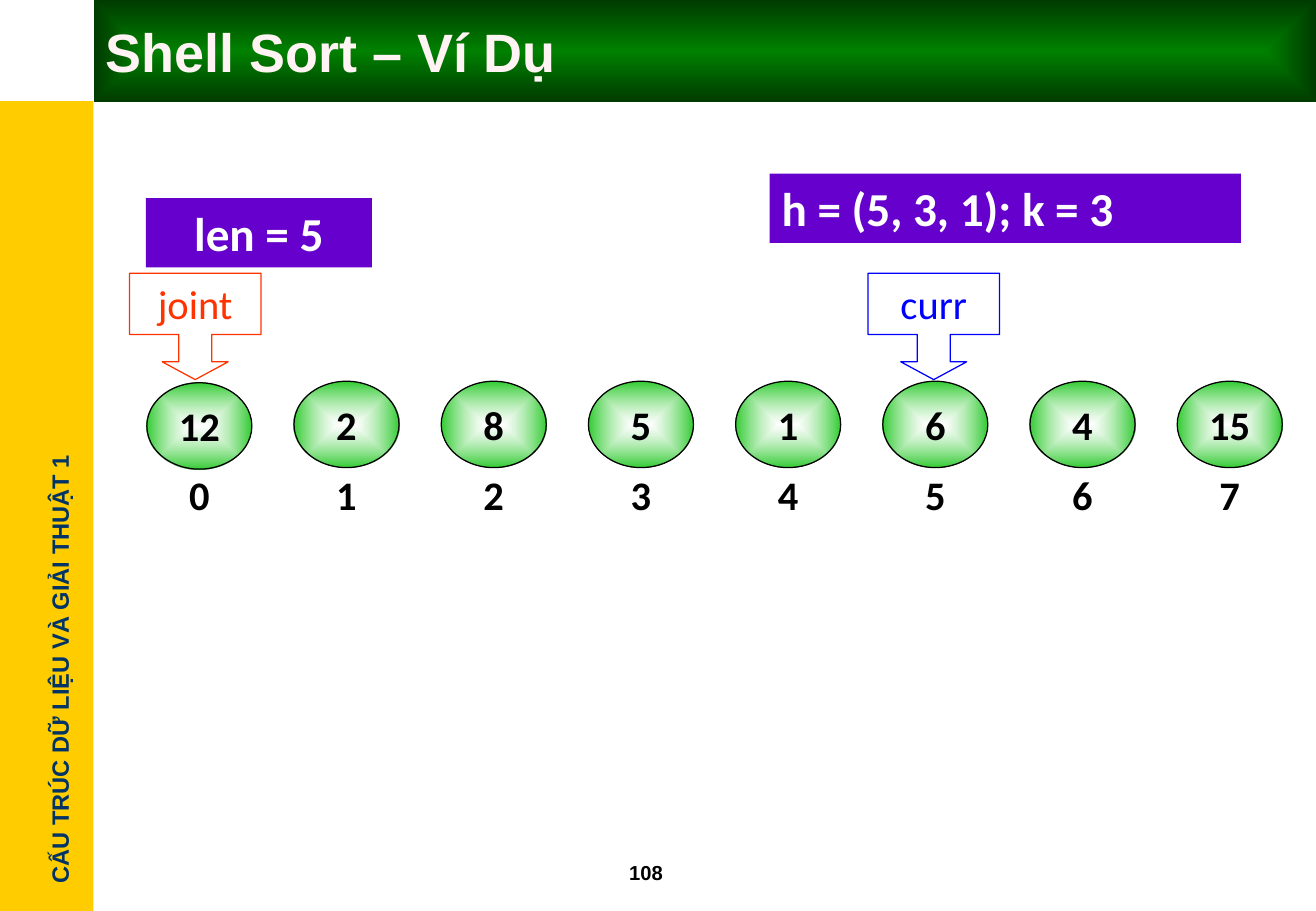
from lxml import etree
from pptx import Presentation
from pptx.dml.color import RGBColor
from pptx.enum import shapes, text
from pptx.oxml import ns
from pptx.util import Pt

KIND = shapes.MSO_SHAPE
LEFT, CENTER = text.PP_ALIGN.LEFT, text.PP_ALIGN.CENTER
TOP, MIDDLE = text.MSO_ANCHOR.TOP, text.MSO_ANCHOR.MIDDLE
VALUES = [12, 2, 8, 5, 1, 6, 4, 15]


def rgb(value):
    return RGBColor.from_string(value)


def place(shape, box):
    shape.left, shape.top, shape.width, shape.height = map(Pt, box)


def write(shape, words, size, color, font="Calibri", bold=True,
          align=CENTER, anchor=TOP, wrap=True):
    frame = shape.text_frame
    frame.text = words
    frame.word_wrap = wrap
    frame.vertical_anchor = anchor
    frame.auto_size = text.MSO_AUTO_SIZE.NONE
    paragraph = frame.paragraphs[0]
    paragraph.alignment = align
    paragraph.space_before = Pt(0)
    paragraph.font.name = font
    paragraph.font.size = Pt(size)
    paragraph.font.bold = bold
    paragraph.font.color.rgb = rgb(color)


def add_outline(slide, kind, box, fill=None, line=None):
    shape = slide.shapes.add_shape(kind, *map(Pt, box))
    shape.shadow.inherit = False
    if fill:
        shape.fill.solid()
        shape.fill.fore_color.rgb = rgb(fill)
    else:
        shape.fill.background()
    if line:
        shape.line.color.rgb = rgb(line)
        shape.line.width = Pt(0.75)
    else:
        shape.line.fill.background()
    return shape


def fill_from_center(shape, inner, outer, inner_alpha=100):
    shape.fill.gradient()
    gradient = shape.fill._xPr.find(ns.qn("a:gradFill"))
    for child in list(gradient):
        gradient.remove(child)
    stops = etree.SubElement(gradient, ns.qn("a:gsLst"))
    for position, color, alpha in ((0, inner, inner_alpha), (100, outer, 100)):
        stop = etree.SubElement(stops, ns.qn("a:gs"), pos=str(position * 1000))
        tint = etree.SubElement(stop, ns.qn("a:srgbClr"), val=color)
        if alpha < 100:
            etree.SubElement(tint, ns.qn("a:alpha"), val=str(alpha * 1000))
    spread = etree.SubElement(gradient, ns.qn("a:path"), path="rect")
    etree.SubElement(spread, ns.qn("a:fillToRect"),
                     {side: "50000" for side in "ltrb"})


def add_sidebar(slide, box):
    left, top, width, height = box
    add_outline(slide, KIND.RECTANGLE, box, fill="FFCC00")
    length, thickness = 268.5, 24.5
    center_x, center_y = left + 35.6, top + height - 143.3
    course = slide.shapes.add_textbox(
        Pt(center_x - length / 2), Pt(center_y - thickness / 2),
        Pt(length), Pt(thickness))
    course.rotation = 270
    write(course, "CẤU TRÚC DỮ LIỆU VÀ GIẢI THUẬT 1", 14, "003366",
          font="Arial", align=LEFT, wrap=False)


def add_title(slide, box):
    title = slide.shapes.title
    place(title, box)
    fill_from_center(title, "008000", "003B00")
    write(title, "Shell Sort – Ví Dụ", 32, "FFF3F3", font="Arial",
          align=LEFT, anchor=MIDDLE)


def add_page_number(slide, box):
    number = slide.shapes.add_textbox(*map(Pt, box))
    write(number, "108", 12, "000000", font="Arial", align=LEFT)


def add_banner(slide, box, words, align):
    banner = add_outline(slide, KIND.RECTANGLE, box, fill="6600CC")
    write(banner, words, 28, "FFFFFF", align=align)


def add_array(slide, box):
    left, top, width, height = box
    cell_width, cell_height = 62.3, 51.2
    step = (width - cell_width) / (len(VALUES) - 1)
    for index, value in enumerate(VALUES):
        x = left + index * step
        y = top if index else top + 0.9
        node = add_outline(slide, KIND.OVAL, (x, y, cell_width, cell_height),
                           line="000000")
        fill_from_center(node, "FFFFFF", "33CC33", inner_alpha=60)
        write(node, str(value), 24, "000000")
        position = add_outline(
            slide, KIND.OVAL,
            (x, top + height - cell_height, cell_width, cell_height))
        write(position, str(index), 24, "000000")


def add_pointer(slide, box, words, color):
    pointer = add_outline(slide, KIND.DOWN_ARROW_CALLOUT, box, line=color)
    for index, share in enumerate((0.31, 0.31, 0.167, 0.575)):
        pointer.adjustments[index] = share
    write(pointer, words, 24, color, bold=False)


def main():
    deck = Presentation()
    deck.slide_width, deck.slide_height = Pt(780.48), Pt(540)
    slide = deck.slides.add_slide(deck.slide_layouts[5])
    add_sidebar(slide, (0, 60, 55.5, 480))
    add_title(slide, (55.5, 0, 724.98, 60.4))
    add_page_number(slide, (366, 506.2, 60, 21.8))
    add_array(slide, (87.1, 226, 673.4, 93))
    add_banner(slide, (456.5, 103, 279.5, 41), "h = (5, 3, 1); k = 3", LEFT)
    add_banner(slide, (86.5, 117.5, 134, 41), "len = 5", CENTER)
    for x, words, color in ((514.8, "curr", "0000FF"),
                            (76.8, "joint", "FF3300")):
        add_pointer(slide, (x, 162, 78, 63), words, color)
    deck.save("out.pptx")


if __name__ == "__main__":
    main()
